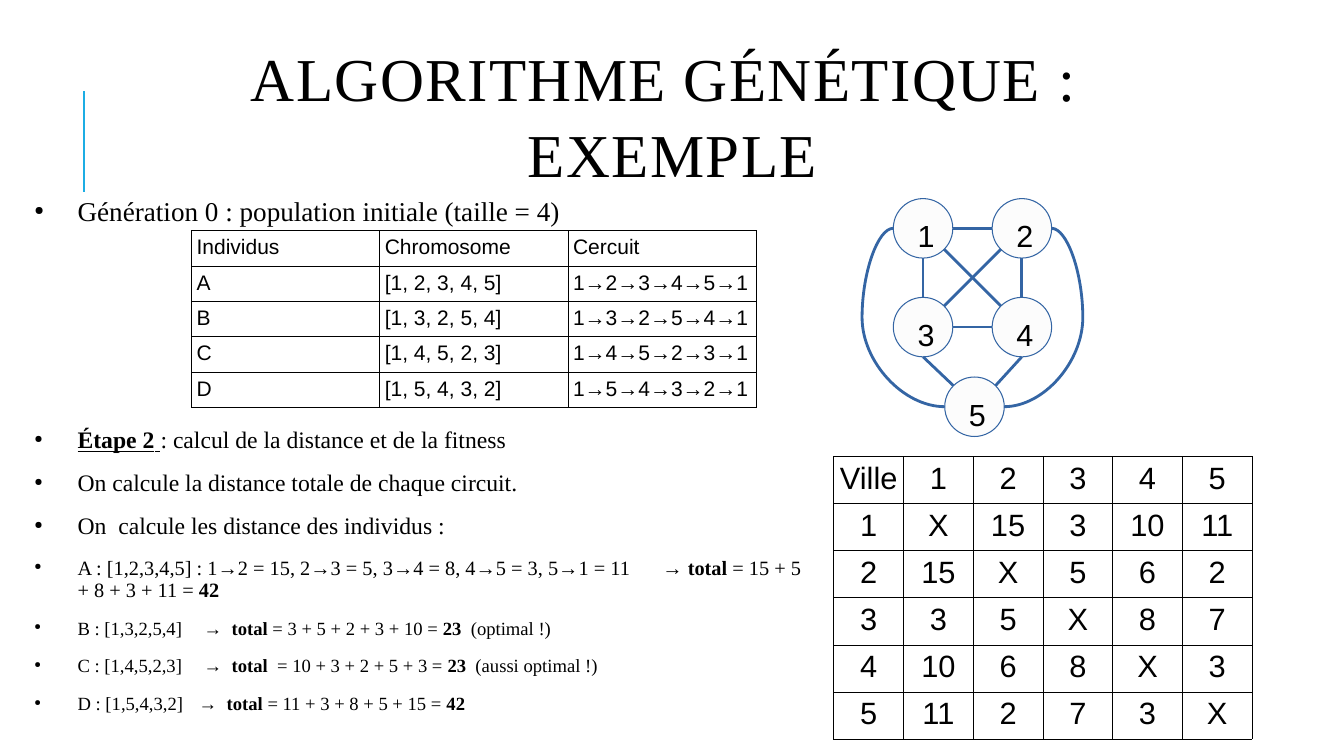
import math
from dataclasses import dataclass

import pptx
import pptx.util
import pptx.dml.color
import pptx.enum.shapes
import pptx.enum.text
import pptx.oxml
import pptx.oxml.ns
from lxml import etree

Inches = pptx.util.Inches
Pt = pptx.util.Pt
ALIGN = pptx.enum.text.PP_ALIGN
ANCHOR = pptx.enum.text.MSO_ANCHOR
LINK = pptx.enum.shapes.MSO_CONNECTOR


@dataclass(frozen=True)
class Theme:
    """Colours, fonts and type sizes of the slide."""
    ink: str = "000000"
    accent: str = "1CADE4"
    edge: str = "3465A4"
    node: str = "FCFCFC"
    serif: str = "Times New Roman"
    sans: str = "Arial"
    title: float = 43.5
    lead: float = 19.4
    step: float = 16.9
    long: float = 14.5
    note: float = 13.3
    label: float = 21.8
    city: float = 22
    cell: float = 15


THEME = Theme()

LEAD = [(THEME.lead, ALIGN.JUSTIFY, None, [("Génération 0 : population initiale (taille = 4)", "")])]
STEPS = [
    (THEME.step, ALIGN.JUSTIFY, None, [("Étape 2", "bu"), (" ", "u"), (": calcul de la distance et de la fitness", "")]),
    (THEME.step, ALIGN.JUSTIFY, None, [("On calcule la distance totale de chaque circuit.", "")]),
    (THEME.step, ALIGN.JUSTIFY, None, [("On  calcule les distance des individus :", "")]),
    (THEME.long, ALIGN.LEFT, 6.37, [
        ("A : [1,2,3,4,5]\u00a0: 1→2 = 15, 2→3 = 5, 3→4 = 8, 4→5 = 3, 5→1 = 11\t→ ", ""),
        ("total", "b"), (" = 15 + 5 + 8 + 3 + 11 =", ""), (" 42", "b")]),
    (THEME.note, ALIGN.LEFT, 1.82, [
        ("B : [1,3,2,5,4]\t→  ", ""), ("total", "b"), (" = 3 + 5 + 2 + 3 + 10 = ", ""),
        ("23", "b"), ("  (optimal !)", "")]),
    (THEME.note, ALIGN.LEFT, 1.82, [
        ("C : [1,4,5,2,3]\t→  ", ""), ("total ", "b"), (" = 10 + 3 + 2 + 5 + 3 = ", ""),
        ("23", "b"), ("  (aussi optimal !)", "")]),
    (THEME.note, ALIGN.LEFT, 1.77, [
        ("D : [1,5,4,3,2]\t→  ", ""), ("total ", "b"), ("= 11 + 3 + 8 + 5 + 15 = ", ""), ("42", "b")]),
]
TOURS = {"A": [1, 2, 3, 4, 5], "B": [1, 3, 2, 5, 4], "C": [1, 4, 5, 2, 3], "D": [1, 5, 4, 3, 2]}
COSTS = [
    ["X", 15, 3, 10, 11],
    [15, "X", 5, 6, 2],
    [3, 5, "X", 8, 7],
    [10, 6, 8, "X", 3],
    [11, 2, 7, 3, "X"],
]
NODES = {1: (0, 0), 2: (0.98, 0), 3: (0, 0.98), 4: (0.98, 0.98), 5: (0.51, 1.77)}
SITES = {"e": 0, "se": 45, "s": 90, "sw": 135, "w": 180, "nw": 225, "n": 270, "ne": 315}
EDGES = [(1, "s", 3, "n"), (1, "e", 2, "w"), (4, "n", 2, "s"), (4, "w", 3, "e"),
         (3, "ne", 2, "sw"), (4, "nw", 1, "se"), (3, "s", 5, "nw"), (4, "s", 5, "ne")]
ARCS = [(2, "e", 5, "e"), (1, "w", 5, "w")]


def tint(code):
    """Turn a hex code into a colour."""
    return pptx.dml.color.RGBColor.from_string(code)


def add(node, tag, **attrs):
    """Append a drawing element to a node."""
    return etree.SubElement(node, pptx.oxml.ns.qn("a:" + tag), attrs)


def style(para, face, size):
    """Set the font of a paragraph."""
    para.font.name = face
    para.font.size = Pt(size)
    para.font.color.rgb = tint(THEME.ink)


def frame(slide, box):
    """Add a wrapping text box without margins."""
    text = slide.shapes.add_textbox(*map(Inches, box)).text_frame
    text.word_wrap = True
    text.margin_left = text.margin_right = text.margin_top = text.margin_bottom = 0
    return text


def link(slide, kind, start, end, code, width):
    """Add a connector without shadow."""
    wire = slide.shapes.add_connector(kind, *map(Inches, (*start, *end)))
    wire.line.color.rgb = tint(code)
    wire.line.width = Pt(width)
    add(wire._element.spPr, "effectLst")
    return wire


def head(slide, box):
    """Place the title and the bar at its left."""
    left, top = box[:2]
    link(slide, LINK.STRAIGHT, (left - 0.09, top + 1.51), (left - 0.09, top + 0.51), THEME.accent, 1.5)
    text = frame(slide, box)
    text.vertical_anchor = ANCHOR.MIDDLE
    para = text.paragraphs[0]
    para.text = "ALGORITHME GÉNÉTIQUE\u00a0: \vEXEMPLE"
    para.alignment = ALIGN.CENTER
    para.line_spacing = 1.05
    style(para, THEME.serif, THEME.title)
    for run in para.runs:
        run._r.get_or_add_rPr().set("spc", "100")


def notes(slide, box, items):
    """Place a bulleted list."""
    text = frame(slide, box)
    for i, (size, align, stop, parts) in enumerate(items):
        para = text.paragraphs[0] if i == 0 else text.add_paragraph()
        props = para._p.get_or_add_pPr()
        props.set("marL", str(Inches(0.57)))
        props.set("indent", str(-Inches(0.43)))
        add(add(props, "buClr"), "srgbClr", val=THEME.ink)
        add(props, "buSzPct", val="45000")
        add(props, "buChar", char="●")
        if stop:
            add(add(props, "tabLst"), "tab", pos=str(Inches(stop)), algn="l")
        para.alignment = align
        para.line_spacing = 0.9
        para.space_before = Pt(6 if i else 0)
        para.space_after = Pt(6.5)
        style(para, THEME.serif, size)
        for words, marks in parts:
            run = para.add_run()
            run.text = words
            if "b" in marks:
                run.font.bold = True
            if "u" in marks:
                run.font.underline = True


def grid(slide, box, rows, size, align):
    """Place a plain table with thin black borders."""
    table = slide.shapes.add_table(len(rows), len(rows[0]), *map(Inches, box)).table
    table.first_row = table.horz_banding = False
    for r, row in enumerate(rows):
        table.rows[r].height = Inches(box[3] / len(rows))
        for c, value in enumerate(row):
            table.columns[c].width = Inches(box[2] / len(row))
            cell = table.cell(r, c)
            cell.margin_left = cell.margin_right = cell.margin_top = cell.margin_bottom = Inches(0.05)
            para = cell.text_frame.paragraphs[0]
            para.text = str(value)
            para.alignment = align
            style(para, THEME.sans, size)
            props = cell._tc.get_or_add_tcPr()
            for side in ("lnL", "lnR", "lnT", "lnB"):
                line = add(props, side, w=str(Pt(0.57)))
                add(add(line, "solidFill"), "srgbClr", val=THEME.ink)
            cell.fill.background()


def graph(slide, box):
    """Place the city graph: nodes, straight edges and outer arcs."""
    left, top, size = box

    def site(node, side):
        """Find a point on the rim of a node."""
        x, y = NODES[node]
        turn = math.radians(SITES[side])
        return (left + x + size / 2 * (1 + math.cos(turn)), top + y + size / 2 * (1 + math.sin(turn)))

    for name, (x, y) in NODES.items():
        disc = slide.shapes.add_shape(pptx.enum.shapes.MSO_SHAPE.OVAL,
                                      *map(Inches, (left + x, top + y, size, size)))
        disc.shadow.inherit = False
        disc.fill.solid()
        disc.fill.fore_color.rgb = tint(THEME.node)
        disc.line.color.rgb = tint(THEME.edge)
        disc.line.width = Pt(0)
        text = disc.text_frame
        text.word_wrap = False
        text.vertical_anchor = ANCHOR.MIDDLE
        text.margin_left, text.margin_top = Inches(0.06), Inches(0.14)
        text.margin_right = text.margin_bottom = 0
        para = text.paragraphs[0]
        para.text = str(name)
        para.alignment = ALIGN.CENTER
        style(para, THEME.sans, THEME.label)
    for a, out, b, into in EDGES:
        link(slide, LINK.STRAIGHT, site(a, out), site(b, into), THEME.edge, 0)
    for a, out, b, into in ARCS:
        start, end = site(a, out), site(b, into)
        wire = link(slide, LINK.CURVE, start, end, THEME.edge, 0)
        bulge = round(-0.31 / abs(end[0] - start[0]) * 100000)
        guides = wire._element.spPr.find(pptx.oxml.ns.qn("a:prstGeom")).get_or_add_avLst()
        add(guides, "gd", name="adj1", fmla=f"val {bulge}")


def main():
    """Build and save the slide."""
    deck = pptx.Presentation()
    deck.slide_width, deck.slide_height = Inches(13.33), Inches(7.5)
    slide = deck.slides.add_slide(deck.slide_layouts[6])
    head(slide, (0.92, 0.39, 11.5, 1.47))
    notes(slide, (0.2, 1.97, 7.87, 0.3), LEAD)
    notes(slide, (0.2, 4.25, 7.87, 2.83), STEPS)
    costs = [["Ville", *range(1, 6)]] + [[i, *row] for i, row in enumerate(COSTS, 1)]
    grid(slide, (8.27, 4.53, 4.15, 2.77), costs, THEME.city, ALIGN.CENTER)
    graph(slide, (8.86, 1.97, 0.59))
    tours = [[name, tour, "→".join(map(str, tour + tour[:1]))] for name, tour in TOURS.items()]
    grid(slide, (1.9, 2.29, 5.6, 1.73), [["Individus", "Chromosome", "Cercuit"]] + tours,
         THEME.cell, ALIGN.LEFT)


    deck.save("out.pptx")


if __name__ == "__main__":
    main()
